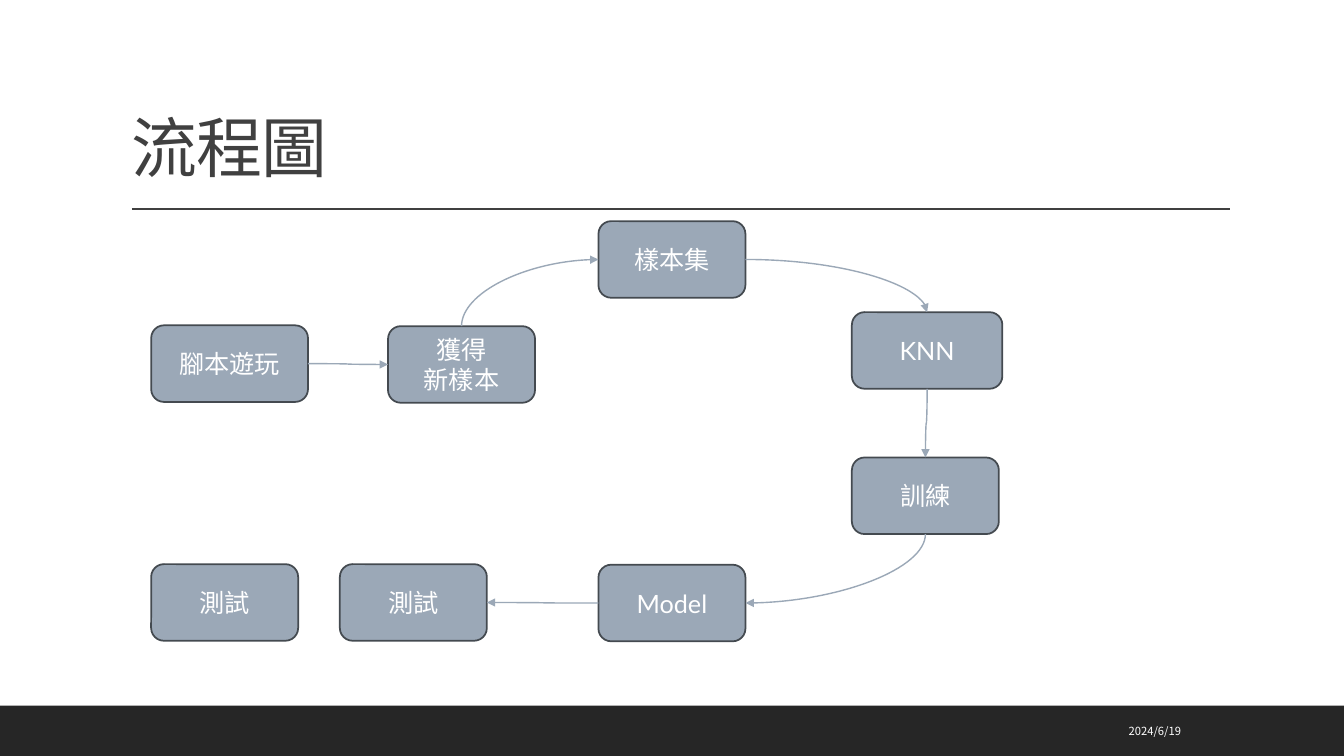
import dataclasses

import pptx
import pptx.dml.color
import pptx.enum.dml
import pptx.enum.shapes
import pptx.enum.text
import pptx.oxml.ns
import pptx.util
import lxml.etree

Pt = pptx.util.Pt
Align = pptx.enum.text.PP_ALIGN
Anchor = pptx.enum.text.MSO_ANCHOR
Shape = pptx.enum.shapes.MSO_SHAPE
Connector = pptx.enum.shapes.MSO_CONNECTOR
Color = pptx.dml.color.RGBColor.from_string
qn = pptx.oxml.ns.qn


@dataclasses.dataclass(frozen=True)
class Theme:
    dark: str = "404040"
    footer: str = "262626"
    white: str = "FFFFFF"
    step: str = "9BA8B7"
    border: str = "444A50"
    latin: str = "Lato"
    chinese: str = "Noto Sans CJK TC"
    title_size: float = 47
    step_size: float = 18
    date_size: float = 8


theme = Theme()


def write(box, text, size, font, color=theme.white, align=Align.LEFT,
          anchor=Anchor.MIDDLE, line_spacing=None, tracking=None):
    frame = box.text_frame
    frame.word_wrap = True
    frame.vertical_anchor = anchor
    frame.text = text
    for para in frame.paragraphs:
        para.alignment = align
        para.line_spacing = line_spacing
        for span in para.runs:
            span.font.size = Pt(size)
            span.font.name = font
            span.font.color.rgb = Color(color)
            properties = span.font._element
            east_asian = lxml.etree.SubElement(properties, qn("a:ea"))
            east_asian.set("typeface", theme.chinese)
            if tracking is not None:
                properties.set("spc", str(tracking))


def connect(line, color, width):
    line.line.color.rgb = Color(color)
    line.line.width = Pt(width)
    lxml.etree.SubElement(line._element.spPr, qn("a:effectLst"))


deck = pptx.Presentation()
deck.slide_width = Pt(960)
deck.slide_height = Pt(540)
page = deck.slides.add_slide(deck.slide_layouts[5])

footer = page.shapes.add_shape(Shape.RECTANGLE, 0, Pt(504), Pt(960), Pt(36))
footer.shadow.inherit = False
footer.fill.solid()
footer.fill.fore_color.rgb = Color(theme.footer)
footer.line.fill.background()

rule = page.shapes.add_connector(Connector.STRAIGHT, Pt(94.3), Pt(149.4), Pt(878.8), Pt(149.4))
connect(rule, theme.dark, 1)

title = page.shapes.title
title.left, title.top, title.width, title.height = Pt(86.4), Pt(22.6), Pt(792), Pt(114.2)
write(title, "流程圖", theme.title_size, theme.chinese, color=theme.dark,
      anchor=Anchor.BOTTOM, line_spacing=0.9, tracking=-50)

date = page.shapes.add_textbox(Pt(647.3), Pt(507.5), Pt(203.5), Pt(28.8))
write(date, "2024/6/19", theme.date_size, theme.chinese, align=Align.RIGHT)

steps = {
    "samples": ("樣本集", 427.5, 158, 105),
    "knn": ("KNN", 608.5, 223, 107.5),
    "training": ("訓練", 608.5, 326.8, 105),
    "model": ("Model", 427.5, 403.4, 105),
    "new sample": ("獲得\n新樣本", 277.2, 233, 105),
    "script": ("腳本遊玩", 108, 232.4, 112),
    "test": ("測試", 242.8, 403, 105),
    "last test": ("測試", 108, 403, 105),
}
boxes = {}
for name, (text, left, top, width) in steps.items():
    box = page.shapes.add_shape(Shape.ROUNDED_RECTANGLE, Pt(left), Pt(top), Pt(width), Pt(54.7))
    box.shadow.inherit = False
    box.fill.solid()
    box.fill.fore_color.rgb = Color(theme.step)
    box.line.color.rgb = Color(theme.border)
    box.line.width = Pt(1.25)
    write(box, text, theme.step_size, theme.latin, align=Align.CENTER)
    boxes[name] = box

TOP, LEFT, BOTTOM, RIGHT = range(4)
turns = {TOP: 270, LEFT: 180, BOTTOM: 90, RIGHT: 0}
flows = [
    ("script", RIGHT, "new sample", LEFT),
    ("new sample", TOP, "samples", LEFT),
    ("samples", RIGHT, "knn", TOP),
    ("knn", BOTTOM, "training", TOP),
    ("training", BOTTOM, "model", RIGHT),
    ("model", LEFT, "test", RIGHT),
]
for source, source_side, target, target_side in flows:
    arrow = page.shapes.add_connector(Connector.CURVE, 0, 0, 0, 0)
    arrow.begin_connect(boxes[source], source_side)
    arrow.end_connect(boxes[target], target_side)
    left, top, width, height = arrow.left, arrow.top, arrow.width, arrow.height
    frame = arrow._element.spPr.find(qn("a:xfrm"))
    for flip in ("flipH", "flipV"):
        frame.attrib.pop(flip, None)
    frame.set("rot", str(turns[source_side] * 60000))
    if source_side in (TOP, BOTTOM):
        arrow.left = left + (width - height) // 2
        arrow.top = top + (height - width) // 2
        arrow.width, arrow.height = height, width
    if (source_side - target_side) % 2:
        arrow._element.spPr.find(qn("a:prstGeom")).set("prst", "curvedConnector2")
    connect(arrow, theme.step, 1)
    head = lxml.etree.SubElement(arrow.line._get_or_add_ln(), qn("a:tailEnd"))
    head.set("type", "triangle")

deck.save("out.pptx")
